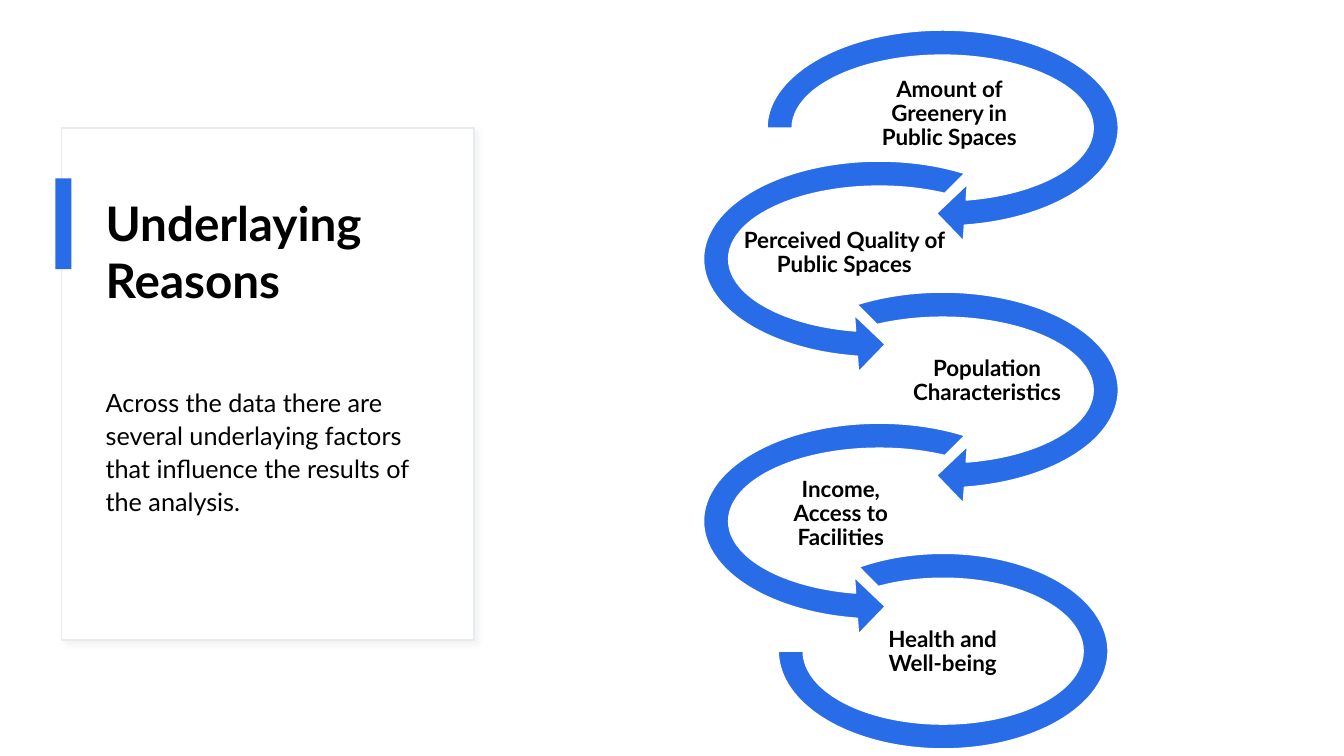
from lxml.etree import SubElement
from pptx import Presentation
from pptx.dml.color import RGBColor
from pptx.enum.shapes import MSO_SHAPE as Shape
from pptx.enum.text import MSO_ANCHOR as Anchor, PP_ALIGN as Align
from pptx.oxml.ns import qn
from pptx.util import Inches, Pt

BLUE, WHITE, BLACK = "296CE7", "FFFFFF", "000000"
FONT = "Lato"
ARROW_TOP, ARROW_STEP = 0.14, 1.3
RIGHT_LOOP, LEFT_LOOP = 7.45, 6.82

REASONS = [
    ("Amount of Greenery in Public Spaces", (8.56, 0.82, 1.71, 0.63)),
    ("Perceived Quality of Public Spaces", (7.32, 2.2, 2.11, 0.63)),
    ("Population Characteristics", (8.79, 3.47, 2, 0.63)),
    ("Income, Access to Facilities", (7.71, 4.79, 1.26, 0.63)),
    ("Health and Well-being", (8.72, 6.16, 1.26, 0.63)),
]


def color(hex_value):
    return RGBColor.from_string(hex_value)


def add_figure(slide, kind, box, fill, line=None, adjustments=()):
    figure = slide.shapes.add_shape(kind, *map(Inches, box))
    figure.shadow.inherit = False
    figure.fill.solid()
    figure.fill.fore_color.rgb = color(fill)
    if line:
        figure.line.color.rgb = color(line)
        figure.line.width = Pt(1)
    else:
        figure.line.fill.background()
    for index, value in enumerate(adjustments):
        figure.adjustments[index] = value
    return figure


def add_soft_shadow(card):
    effects = card._element.spPr.find(qn("a:effectLst"))
    shadow = SubElement(effects, qn("a:outerShdw"), blurRad=str(Pt(4)),
                        dist=str(Pt(3)), dir=str(45 * 60000), rotWithShape="0")
    tint = SubElement(shadow, qn("a:srgbClr"), val="D9D9D9")
    SubElement(tint, qn("a:alpha"), val="30000")


def add_text(slide, text, box, size, bold=False, spacing=None):
    frame = slide.shapes.add_textbox(*map(Inches, box)).text_frame
    frame.word_wrap = True
    paragraph = frame.paragraphs[0]
    paragraph.line_spacing = spacing
    run = paragraph.add_run()
    run.text = text
    run.font.name = FONT
    run.font.size = Pt(size)
    run.font.bold = bold
    run.font.color.rgb = color(BLACK)
    return frame


def add_reason(slide, text, box):
    frame = add_text(slide, text, box, 16, bold=True, spacing=0.9)
    frame.vertical_anchor = Anchor.MIDDLE
    frame.margin_left = frame.margin_right = Inches(0.01)
    frame.margin_top = frame.margin_bottom = Inches(0.01)
    frame.paragraphs[0].alignment = Align.CENTER


def add_loop(slide, position):
    if position % 2:
        kind, left, end, start = Shape.LEFT_CIRCULAR_ARROW, LEFT_LOOP, 63, 189
    else:
        kind, left, end = Shape.CIRCULAR_ARROW, RIGHT_LOOP, 45
        start = 135 if position else 108
    box = (left, ARROW_TOP + position * ARROW_STEP, 3.8, 2.26)
    add_figure(slide, kind, box, BLUE, WHITE, (0.11, 11.423, end, start, 0.125))


def add_summary(slide):
    card = add_figure(slide, Shape.RECTANGLE, (0.61, 1.27, 4.09, 5.08), WHITE, "E5ECF0")
    add_soft_shadow(card)
    add_figure(slide, Shape.RECTANGLE, (0.55, 1.77, 0.16, 0.9), BLUE)
    add_text(slide, "Underlaying Reasons", (0.95, 1.87, 3.39, 1.87), 34, bold=True)
    body = add_text(slide, "Across the data there are several underlaying factors "
                    "that influence the results of the analysis.",
                    (0.95, 3.76, 3.39, 2.25), 18, spacing=1.1)
    body.paragraphs[0].space_before = Pt(10)


def main():
    deck = Presentation()
    deck.slide_width, deck.slide_height = Inches(13.33), Inches(7.5)
    slide = deck.slides.add_slide(deck.slide_layouts[6])
    add_summary(slide)
    for position in range(len(REASONS) - 1):
        add_loop(slide, position)
    add_figure(slide, Shape.BLOCK_ARC, (7.72, 5.49, 3.27, 1.94), BLUE, WHITE,
               (135, 108, 0.127))
    for text, box in REASONS:
        add_reason(slide, text, box)
    deck.save("out.pptx")


if __name__ == "__main__":
    main()
